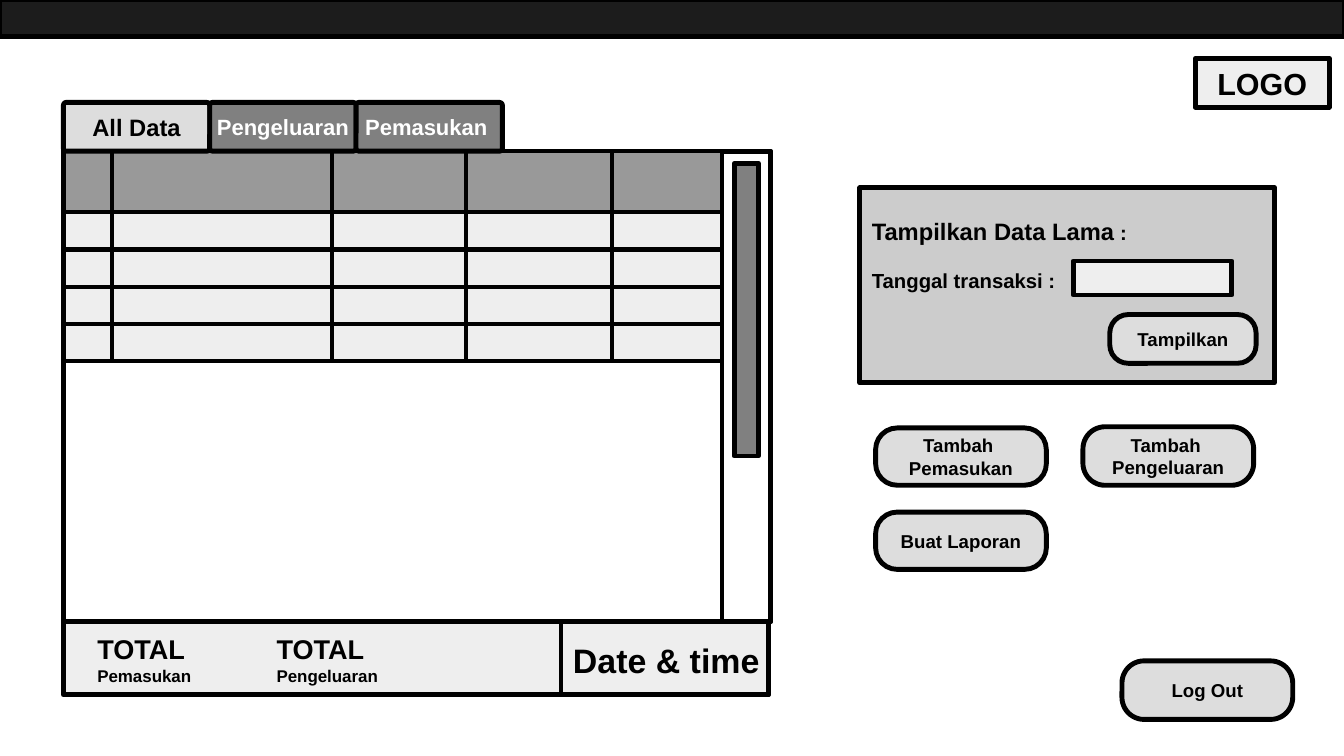
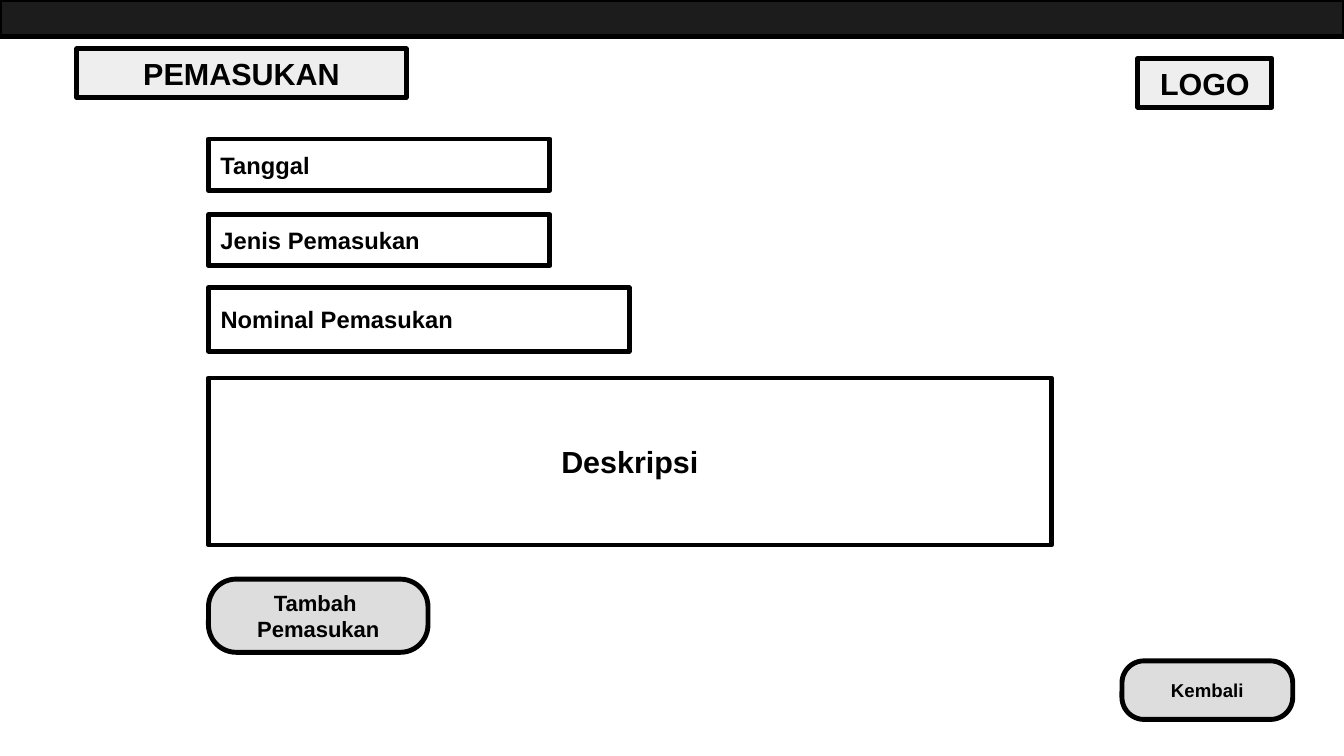
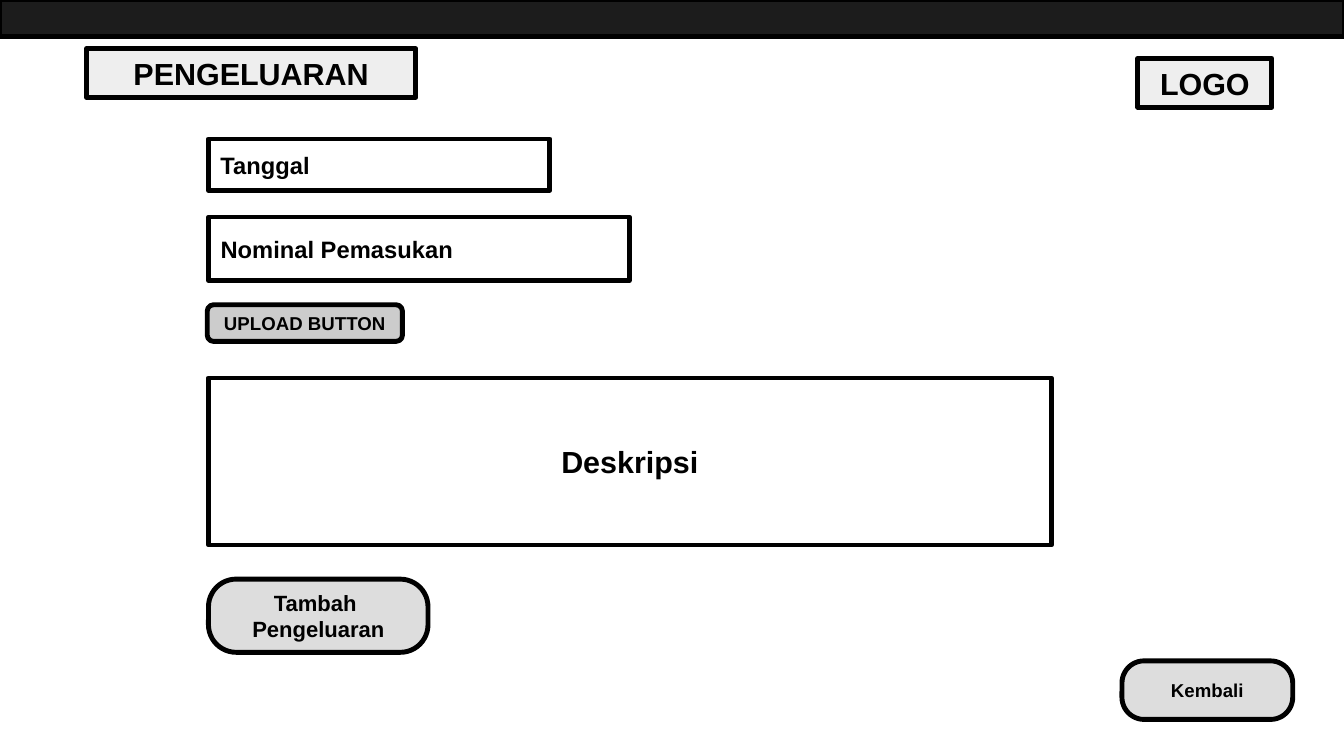
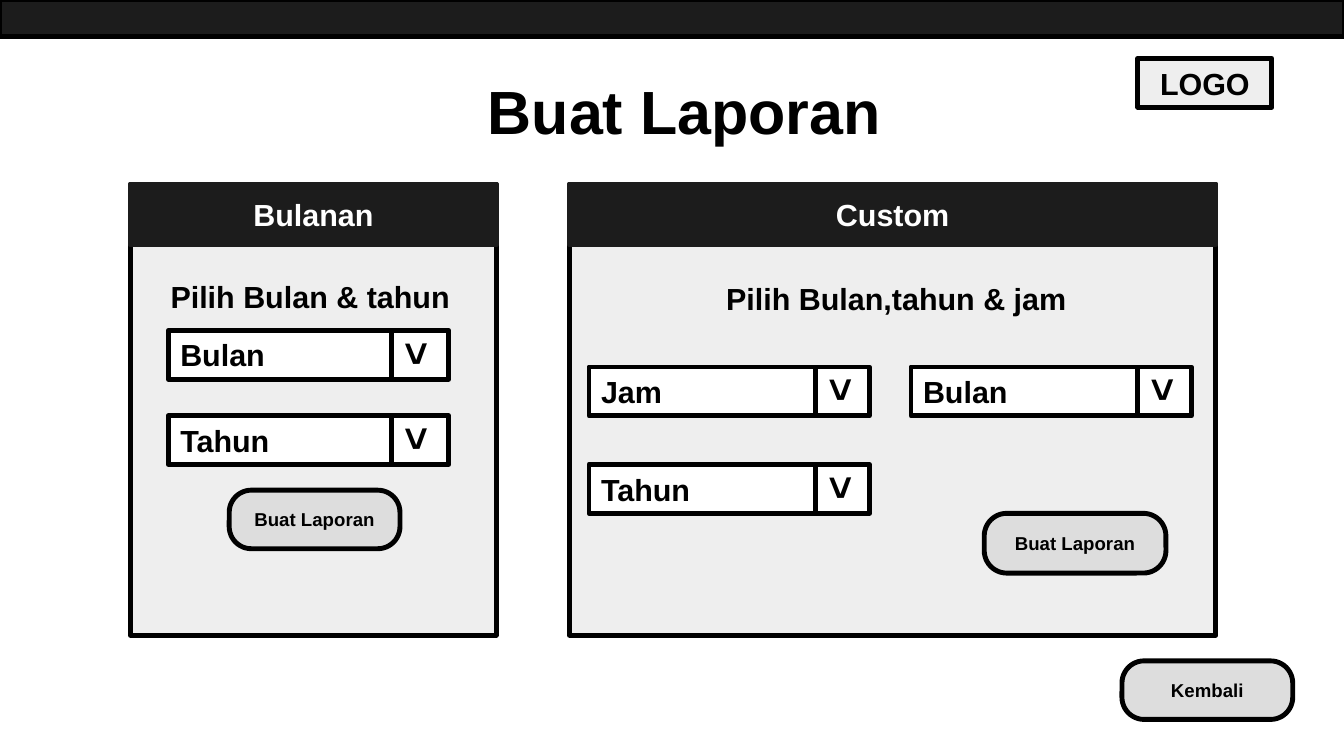
"""Build four wireframe screens of a cash-book application."""
from pptx import Presentation
from pptx.dml.color import RGBColor
from pptx.enum.shapes import MSO_CONNECTOR, MSO_SHAPE
from pptx.enum.text import MSO_ANCHOR, MSO_AUTO_SIZE, PP_ALIGN
from pptx.oxml import parse_xml
from pptx.oxml.ns import nsdecls
from pptx.util import Inches, Pt

BLACK = RGBColor(0x00, 0x00, 0x00)
INK = RGBColor(0x1C, 0x1C, 0x1C)
DARK = RGBColor(0x80, 0x80, 0x80)
HEADER = RGBColor(0x99, 0x99, 0x99)
PANEL = RGBColor(0xCC, 0xCC, 0xCC)
BUTTON = RGBColor(0xDD, 0xDD, 0xDD)
PALE = RGBColor(0xEE, 0xEE, 0xEE)
WHITE = RGBColor(0xFF, 0xFF, 0xFF)
FONT = "Arial"
STROKE = Pt(2.89)
PILL = 0.377
LEFT, CENTER = PP_ALIGN.LEFT, PP_ALIGN.CENTER
TOP, MIDDLE = MSO_ANCHOR.TOP, MSO_ANCHOR.MIDDLE


def write(tf, text, size, color=BLACK, align=LEFT, anchor=TOP, wrap=True, tail="", tail_size=12):
    """Fill a text frame with one bold paragraph, with an optional smaller ending."""
    tf.text = text
    tf.word_wrap = wrap
    tf.auto_size = MSO_AUTO_SIZE.NONE
    tf.vertical_anchor = anchor
    p = tf.paragraphs[0]
    p.alignment = align
    if tail:
        p.add_run().text = tail
    for r in p.runs:
        r.font.name = FONT
        r.font.size = Pt(size)
        r.font.bold = True
        r.font.color.rgb = color
    if tail:
        p.runs[-1].font.size = Pt(tail_size)


def add_box(s, x, y, w, h, fill, text="", size=11, color=BLACK, align=CENTER, adj=None, line=BLACK):
    """Add an outlined rectangle, rounded when adj is given."""
    kind = MSO_SHAPE.RECTANGLE if adj is None else MSO_SHAPE.ROUNDED_RECTANGLE
    sp = s.shapes.add_shape(kind, Inches(x), Inches(y), Inches(w), Inches(h))
    if adj is not None:
        sp.adjustments[0] = adj
    sp.shadow.inherit = False
    sp.fill.solid()
    sp.fill.fore_color.rgb = fill
    sp.line.color.rgb = line
    sp.line.width = STROKE
    if text:
        write(sp.text_frame, text, size, color, align, MIDDLE, wrap=False)


prs = Presentation()
prs.slide_width, prs.slide_height = Inches(11.02), Inches(6.2)
title_only, blank = prs.slide_layouts[5], prs.slide_layouts[6]

screens = []
for layout, logo_x, exit_text in [
    (blank, 9.8, "Log Out"),
    (title_only, 9.33, "Kembali"),
    (title_only, 9.33, "Kembali"),
    (title_only, 9.33, "Kembali"),
]:
    s = prs.slides.add_slide(layout)
    add_box(s, 0, 0, 11.02, 0.3, INK)
    add_box(s, logo_x, 0.48, 1.1, 0.4, PALE, "LOGO", 18)
    add_box(s, 9.2, 5.42, 1.4, 0.48, BUTTON, exit_text, adj=PILL)
    screens.append(s)
overview, income, expense, report = screens

for s, text, x, y, w, h, size, align, anchor in [
    (income, "PEMASUKAN", 0.63, 0.4, 2.7, 0.4, 18, CENTER, MIDDLE),
    (expense, "PENGELUARAN", 0.71, 0.4, 2.7, 0.4, 18, CENTER, MIDDLE),
    (report, "Buat Laporan", 3.9, 0.55, 3.5, 0.66, 36, LEFT, TOP),
]:
    title = s.shapes.title
    title.left, title.top, title.width, title.height = Inches(x), Inches(y), Inches(w), Inches(h)
    write(title.text_frame, text, size, align=align, anchor=anchor)
    if s is not report:
        title.fill.solid()
        title.fill.fore_color.rgb = PALE
        title.line.color.rgb = BLACK
        title.line.width = STROKE

s = overview
add_box(s, 0.52, 5.1, 5.78, 0.6, PALE)
add_box(s, 4.6, 5.1, 1.7, 0.6, PALE)
add_box(s, 0.52, 1.24, 5.8, 3.86, WHITE)
add_box(s, 5.92, 1.24, 0.4, 3.86, WHITE)
add_box(s, 6.02, 1.34, 0.2, 2.4, DARK)

col_widths = [0.4, 1.8, 1.1, 1.2, 0.9]
row_heights = [0.5] + [0.3] * 4
frame = s.shapes.add_table(
    len(row_heights), len(col_widths), Inches(0.52), Inches(1.24),
    Inches(sum(col_widths)), Inches(sum(row_heights)))
table = frame.table
table.first_row = table.horz_banding = False
for col, w in zip(table.columns, col_widths):
    col.width = Inches(w)
for i, (row, h) in enumerate(zip(table.rows, row_heights)):
    row.height = Inches(h)
    for cell in row.cells:
        cell.margin_top = cell.margin_bottom = 0
        cell.fill.solid()
        cell.fill.fore_color.rgb = PALE if i else HEADER
        tcPr = cell._tc.get_or_add_tcPr()
        for k, side in enumerate(["lnL", "lnR", "lnT", "lnB"]):
            tcPr.insert(k, parse_xml(
                f'<a:{side} {nsdecls("a")} w="{int(STROKE)}"><a:solidFill>'
                f'<a:srgbClr val="{BLACK}"/></a:solidFill></a:{side}>'))

for i, (text, size, fill, color) in enumerate([
    ("All Data", 14, BUTTON, BLACK),
    ("Pengeluaran", 13, DARK, WHITE),
    ("Pemasukan ", 13, DARK, WHITE),
]):
    add_box(s, 0.52 + 1.2 * i, 0.84, 1.2, 0.4, fill, text, size, color, adj=0.06)

add_box(s, 7.05, 1.54, 3.4, 1.6, PANEL)
add_box(s, 8.8, 2.14, 1.3, 0.28, PALE)

for s, x, y, w, h, text, size, tail, tail_size in [
    (overview, 4.6, 5.2, 2, 0.43, "Date & time", 20, "", 0),
    (overview, 0.7, 5.14, 1, 0.5, "TOTAL ", 16, "Pemasukan", 10),
    (overview, 2.17, 5.14, 1.3, 0.5, "TOTAL ", 16, "Pengeluaran", 10),
    (overview, 7.05, 1.73, 3.4, 0.33, "Tampilkan Data Lama", 14, " :", 12),
    (overview, 7.05, 2.15, 1.75, 0.3, "Tanggal transaksi :", 12, "", 0),
]:
    tb = s.shapes.add_textbox(Inches(x), Inches(y), Inches(w), Inches(h))
    write(tb.text_frame, text, size, tail=tail, tail_size=tail_size)

for x, y, w, h, text in [
    (9.1, 2.58, 1.2, 0.4, "Tampilkan"),
    (7.18, 3.51, 1.4, 0.47, "Tambah \vPemasukan"),
    (8.88, 3.5, 1.4, 0.48, "Tambah \vPengeluaran"),
    (7.18, 4.2, 1.4, 0.47, "Buat Laporan"),
]:
    add_box(overview, x, y, w, h, BUTTON, text, adj=PILL)

for s, nominal_y, action in [(income, 2.36, "Pemasukan"), (expense, 1.78, "Pengeluaran")]:
    add_box(s, 1.71, 1.14, 2.8, 0.42, WHITE, "Tanggal", 14, align=LEFT)
    add_box(s, 1.71, nominal_y, 3.45, 0.52, WHITE, "Nominal Pemasukan", 14, align=LEFT)
    add_box(s, 1.71, 3.1, 6.91, 1.37, WHITE, "Deskripsi", 18)
    add_box(s, 1.71, 4.75, 1.8, 0.6, BUTTON, f"Tambah \v{action}", 13, adj=PILL)
add_box(income, 1.71, 1.76, 2.8, 0.42, WHITE, "Jenis Pemasukan", 14, align=LEFT)
add_box(expense, 1.7, 2.5, 1.6, 0.3, PANEL, "UPLOAD BUTTON", adj=0.17)

s = report
for x, w, heading, prompt, prompt_x, prompt_y, prompt_w, align in [
    (1.07, 3, "Bulanan", "Pilih Bulan & tahun", 1.3, 2.23, 2.56, LEFT),
    (4.67, 5.3, "Custom", "Pilih Bulan,tahun & jam ", 5.85, 2.25, 3, CENTER),
]:
    add_box(s, x, 1.51, w, 3.7, PALE)
    add_box(s, x, 1.51, w, 0.5, INK, heading, 18, WHITE, line=INK)
    tb = s.shapes.add_textbox(Inches(prompt_x), Inches(prompt_y), Inches(prompt_w), Inches(0.38))
    write(tb.text_frame, prompt, 18, align=align)

for x, y, text, divider_x in [
    (1.38, 2.71, "Bulan", 3.21),
    (1.38, 3.41, "Tahun", 3.21),
    (4.83, 3.01, "Jam", 6.69),
    (7.47, 3.01, "Bulan", 9.33),
    (4.83, 3.81, "Tahun", 6.69),
]:
    add_box(s, x, y, 2.3, 0.4, WHITE, text, 18, align=LEFT)
    divider = s.shapes.add_connector(
        MSO_CONNECTOR.STRAIGHT, Inches(divider_x), Inches(y), Inches(divider_x), Inches(y + 0.4))
    divider.line.color.rgb = BLACK
    divider.line.width = STROKE
    divider._element.spPr.append(parse_xml(f'<a:effectLst {nsdecls("a")}/>'))
    chevron = s.shapes.add_textbox(Inches(divider_x + 0.04), Inches(y - 0.04), Inches(0.4), Inches(0.47))
    chevron.rotation = 89.1
    write(chevron.text_frame, ">", 24)

for x, y, w, h in [(1.88, 4.02, 1.4, 0.48), (8.07, 4.21, 1.49, 0.49)]:
    add_box(s, x, y, w, h, BUTTON, "Buat Laporan", adj=PILL)

prs.save("out.pptx")
